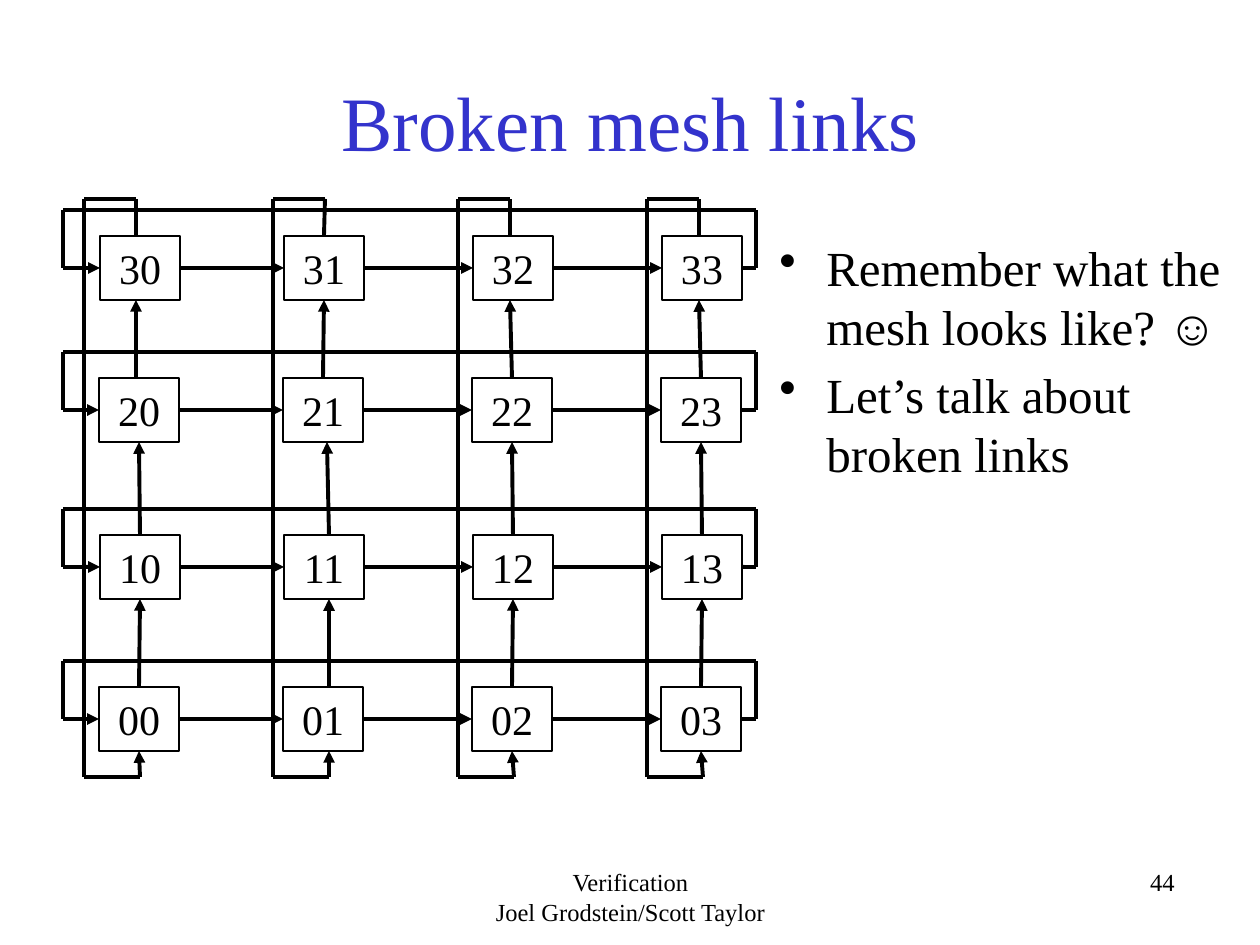
from dataclasses import dataclass
from itertools import pairwise

from lxml.etree import SubElement
from pptx import Presentation
from pptx.dml.color import RGBColor
from pptx.enum.shapes import MSO_CONNECTOR, MSO_SHAPE
from pptx.enum.text import MSO_ANCHOR, PP_ALIGN
from pptx.oxml.ns import qn
from pptx.util import Emu, Pt

PX_PER_INCH = 126
FONT = "Times New Roman"
COLORS = {"ink": "000000", "paper": "FFFFFF", "title": "3333CC"}
BOX_W, BOX_H = 80, 64
LOOP_LEFT, LOOP_RIGHT, LOOP_RISE = 63, 756, 58
BUS_TOP, BUS_BOTTOM, BUS_OFFSET = 199, 777, 52
JOIN_TOLERANCE = 2
COLUMN_LEFTS = [99, 283, 472, 661]
WIRE_XS = [136, 325, 510, 699]
ROW_TOPS = [687, 535, 378, 236]


@dataclass
class Node:
    label: str
    x: int
    y: int
    sp: object = None

    @property
    def mid_y(self) -> int:
        return self.y + BOX_H // 2

    @property
    def right(self) -> int:
        return self.x + BOX_W

    @property
    def bottom(self) -> int:
        return self.y + BOX_H

    def sites(self) -> list[tuple[int, int]]:
        mid_x = self.x + BOX_W // 2
        return [(mid_x, self.y), (self.x, self.mid_y),
                (mid_x, self.bottom), (self.right, self.mid_y)]


def px(n: int) -> Emu:
    return Emu(round(n * 914400 / PX_PER_INCH))


def rgb(name: str) -> RGBColor:
    return RGBColor.from_string(COLORS[name])


def place(sp, x: int, y: int, w: int, h: int) -> None:
    sp.left, sp.top, sp.width, sp.height = px(x), px(y), px(w), px(h)


def write(sp, *lines: str, size: int, color: str = "ink", align=PP_ALIGN.LEFT,
          anchor=MSO_ANCHOR.TOP, bullet: bool = False, gap: float = 0) -> None:
    tf = sp.text_frame
    tf.word_wrap = True
    tf.vertical_anchor = anchor
    for i, line in enumerate(lines):
        p = tf.add_paragraph() if i else tf.paragraphs[0]
        p.alignment = align
        if i and gap:
            p.space_before = Pt(gap)
        if bullet:
            pPr = p._p.get_or_add_pPr()
            pPr.set("marL", str(px(47)))
            pPr.set("indent", str(-px(47)))
            SubElement(pPr, qn("a:buChar"), char="•")
        r = p.add_run()
        r.text = line
        r.font.name = FONT
        r.font.size = Pt(size)
        r.font.color.rgb = rgb(color)


def draw_node(s, node: Node) -> None:
    sp = s.shapes.add_shape(MSO_SHAPE.RECTANGLE, px(node.x), px(node.y),
                            px(BOX_W), px(BOX_H))
    sp.shadow.inherit = False
    sp.fill.solid()
    sp.fill.fore_color.rgb = rgb("paper")
    sp.line.color.rgb = rgb("ink")
    sp.line.width = Pt(1.5)
    write(sp, node.label, size=24, align=PP_ALIGN.CENTER, anchor=MSO_ANCHOR.MIDDLE)
    node.sp = sp


def draw_wire(s, nodes: list[Node], start: tuple[int, int], end: tuple[int, int],
              arrow: bool = False) -> None:
    cx = s.shapes.add_connector(MSO_CONNECTOR.STRAIGHT, *map(px, start + end))
    cx.line.color.rgb = rgb("ink")
    cx.line.width = Pt(2.25)
    if arrow:
        SubElement(cx.line._get_or_add_ln(), qn("a:tailEnd"), type="triangle")
    SubElement(cx._element.spPr, qn("a:effectLst"))
    for point, join in ((start, cx.begin_connect), (end, cx.end_connect)):
        for node in nodes:
            for i, site in enumerate(node.sites()):
                if max(abs(a - b) for a, b in zip(point, site)) <= JOIN_TOLERANCE:
                    join(node.sp, i)


def draw_row(s, nodes: list[Node], row: list[Node]) -> None:
    y = row[0].mid_y
    top = y - LOOP_RISE
    for a, b in pairwise(row):
        draw_wire(s, nodes, (a.right, y), (b.x, y), arrow=True)
    loop = [(row[-1].right, y), (LOOP_RIGHT, y), (LOOP_RIGHT, top),
            (LOOP_LEFT, top), (LOOP_LEFT, y), (row[0].x, y)]
    draw_path(s, nodes, loop)


def draw_column(s, nodes: list[Node], column: list[Node], x: int) -> None:
    shifts = [(4, 4), (4, 2), (0, 0)]
    for (a, b), (dx1, dx2) in zip(pairwise(column), shifts):
        draw_wire(s, nodes, (x + dx1, a.y), (x + dx2, b.bottom), arrow=True)
    bus = x - BUS_OFFSET
    loop = [(x, column[-1].y), (x, BUS_TOP), (bus, BUS_TOP),
            (bus, BUS_BOTTOM), (x + 4, BUS_BOTTOM), (x + 4, column[0].bottom)]
    draw_path(s, nodes, loop)


def draw_path(s, nodes: list[Node], points: list[tuple[int, int]]) -> None:
    for start, end in pairwise(points):
        draw_wire(s, nodes, start, end, arrow=end == points[-1])


def add_text(s, x: int, y: int, w: int, h: int, *lines: str, **fmt) -> None:
    write(s.shapes.add_textbox(px(x), px(y), px(w), px(h)), *lines, **fmt)


def main() -> None:
    prs = Presentation()
    prs.slide_width, prs.slide_height = px(1260), px(945)
    s = prs.slides.add_slide(prs.slide_layouts[5])
    title = s.shapes.title
    place(title, 95, 42, 1071, 158)
    write(title, "Broken mesh links", size=44, color="title",
          align=PP_ALIGN.CENTER, anchor=MSO_ANCHOR.MIDDLE)

    rows = [[Node(f"{i}{j}", x + i % 2, y) for j, x in enumerate(COLUMN_LEFTS)]
            for i, y in enumerate(ROW_TOPS)]
    nodes = [node for row in rows for node in row]
    for node in nodes:
        draw_node(s, node)
    for row in rows:
        draw_row(s, nodes, row)
    for column, x in zip(zip(*rows), WIRE_XS):
        draw_column(s, nodes, column, x)

    add_text(s, 767, 231, 493, 455, "Remember what the mesh looks like? ☺",
             "Let’s talk about broken links", size=28, bullet=True, gap=5.6)
    add_text(s, 431, 861, 399, 63, "Verification", "Joel Grodstein/Scott Taylor",
             size=14, align=PP_ALIGN.CENTER)
    add_text(s, 788, 861, 399, 63, "44", size=14, align=PP_ALIGN.RIGHT)
    prs.save("out.pptx")


if __name__ == "__main__":
    main()
